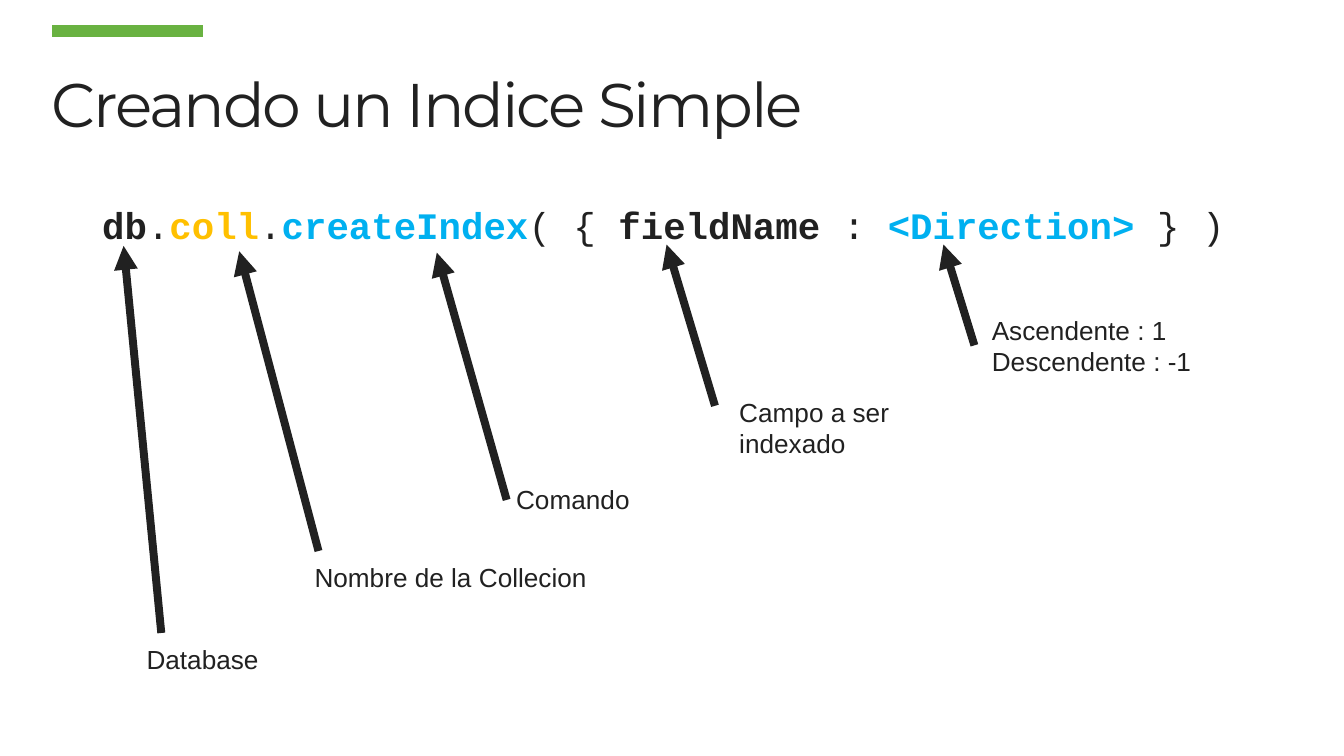
from typing import NamedTuple

from lxml.etree import SubElement
from pptx import Presentation
from pptx.dml.color import RGBColor
from pptx.enum.shapes import MSO_CONNECTOR
from pptx.enum.text import MSO_ANCHOR, MSO_AUTO_SIZE, PP_ALIGN
from pptx.oxml.ns import qn
from pptx.util import Inches, Pt

INK, GREEN, AMBER, BLUE = "212121", "69B241", "FFC000", "00B0F0"
COLUMNS, ROWS = 100, 56.25


class Point(NamedTuple):
    column: float
    row: float


class Area(NamedTuple):
    column: float
    row: float
    columns: float
    rows: float


class Span(NamedTuple):
    text: str
    color: str = INK
    bold: bool = False


class Callout(NamedTuple):
    text: str
    area: Area
    start: Point
    tip: Point


COMMAND = [
    Span("db", bold=True),
    Span("."),
    Span("coll", AMBER, True),
    Span("."),
    Span("createIndex", BLUE, True),
    Span("( { "),
    Span("fieldName", bold=True),
    Span(" : "),
    Span("<Direction> ", BLUE, True),
    Span("} )"),
]

CALLOUTS = [
    Callout("Database", Area(10.2, 47.5, 10.8, 3.1), Point(12, 47.1), Point(9.2, 18.3)),
    Callout("Nombre de la Collecion", Area(22.7, 41.4, 22.8, 3.2), Point(23.7, 41), Point(17.8, 18.7)),
    Callout("Comando", Area(37.7, 35.6, 10.7, 3.2), Point(37.7, 37.2), Point(32.5, 18.8)),
    Callout("Campo a ser\nindexado", Area(54.3, 29.1, 13.2, 5.6), Point(53.2, 30.2), Point(49.6, 18.2)),
    Callout("Ascendente : 1\nDescendente : -1", Area(73.1, 23, 17.3, 5.6), Point(72.5, 25.7), Point(70.2, 18.2)),
]

deck = Presentation()
deck.slide_width, deck.slide_height = Inches(10), Inches(5.625)
page = deck.slides.add_slide(deck.slide_layouts[5])


def across(columns: float) -> int:
    return round(deck.slide_width * columns / COLUMNS)


def down(rows: float) -> int:
    return round(deck.slide_height * rows / ROWS)


def color_of(value: str) -> RGBColor:
    return RGBColor.from_string(value)


def place(box, area: Area) -> None:
    box.left, box.top = across(area.column), down(area.row)
    box.width, box.height = across(area.columns), down(area.rows)


def set_frame(frame, wrap: bool, fit: MSO_AUTO_SIZE, anchor: MSO_ANCHOR = MSO_ANCHOR.TOP) -> None:
    frame.word_wrap = wrap
    frame.auto_size = fit
    frame.vertical_anchor = anchor
    frame.margin_left = frame.margin_right = Inches(0.07)
    frame.margin_top = frame.margin_bottom = Inches(0.04)


def style(run, font: str, size: float, color: str = INK, bold: bool = False) -> None:
    run.font.name, run.font.size, run.font.bold = font, Pt(size), bold
    run.font.color.rgb = color_of(color)


def add_box(area: Area):
    box = page.shapes.add_textbox(0, 0, 0, 0)
    place(box, area)
    return box


def add_line(start: Point, end: Point, color: str, width: float, arrow: bool = False) -> None:
    line = page.shapes.add_connector(
        MSO_CONNECTOR.STRAIGHT,
        across(start.column), down(start.row), across(end.column), down(end.row),
    )
    line.line.color.rgb = color_of(color)
    line.line.width = Pt(width)
    properties = line._element.spPr
    if arrow:
        SubElement(properties.find(qn("a:ln")), qn("a:tailEnd"), type="triangle")
    SubElement(properties, qn("a:effectLst"))


def add_title(text: str, area: Area) -> None:
    title = page.shapes.title
    place(title, area)
    title.text_frame.text = text
    set_frame(title.text_frame, True, MSO_AUTO_SIZE.NONE, MSO_ANCHOR.BOTTOM)
    para = title.text_frame.paragraphs[0]
    para.alignment, para.line_spacing = PP_ALIGN.LEFT, 0.9
    run = para.runs[0]
    style(run, "Montserrat", 33)
    run._r.get_or_add_rPr().set("spc", "-110")


def add_command(spans: list[Span], area: Area) -> None:
    frame = add_box(area).text_frame
    set_frame(frame, True, MSO_AUTO_SIZE.NONE)
    para = frame.paragraphs[0]
    para.line_spacing, para.space_before = 0.9, Pt(7.5)
    for span in spans:
        run = para.add_run()
        run.text = span.text
        style(run, "Courier New", 20, span.color, span.bold)


def add_callout(callout: Callout) -> None:
    frame = add_box(callout.area).text_frame
    frame.text = callout.text
    set_frame(frame, False, MSO_AUTO_SIZE.SHAPE_TO_FIT_TEXT)
    for para in frame.paragraphs:
        style(para.runs[0], "Arial", 14)
    add_line(callout.start, callout.tip, INK, 4.25, arrow=True)


add_line(Point(3.9, 2.3), Point(15.1, 2.3), GREEN, 6)
add_title("Creando un Indice Simple", Area(3.1, 0, 86.2, 10.9))
add_command(COMMAND, Area(6.9, 15, 86.2, 35.7))
for callout in CALLOUTS:
    add_callout(callout)

deck.save("out.pptx")
